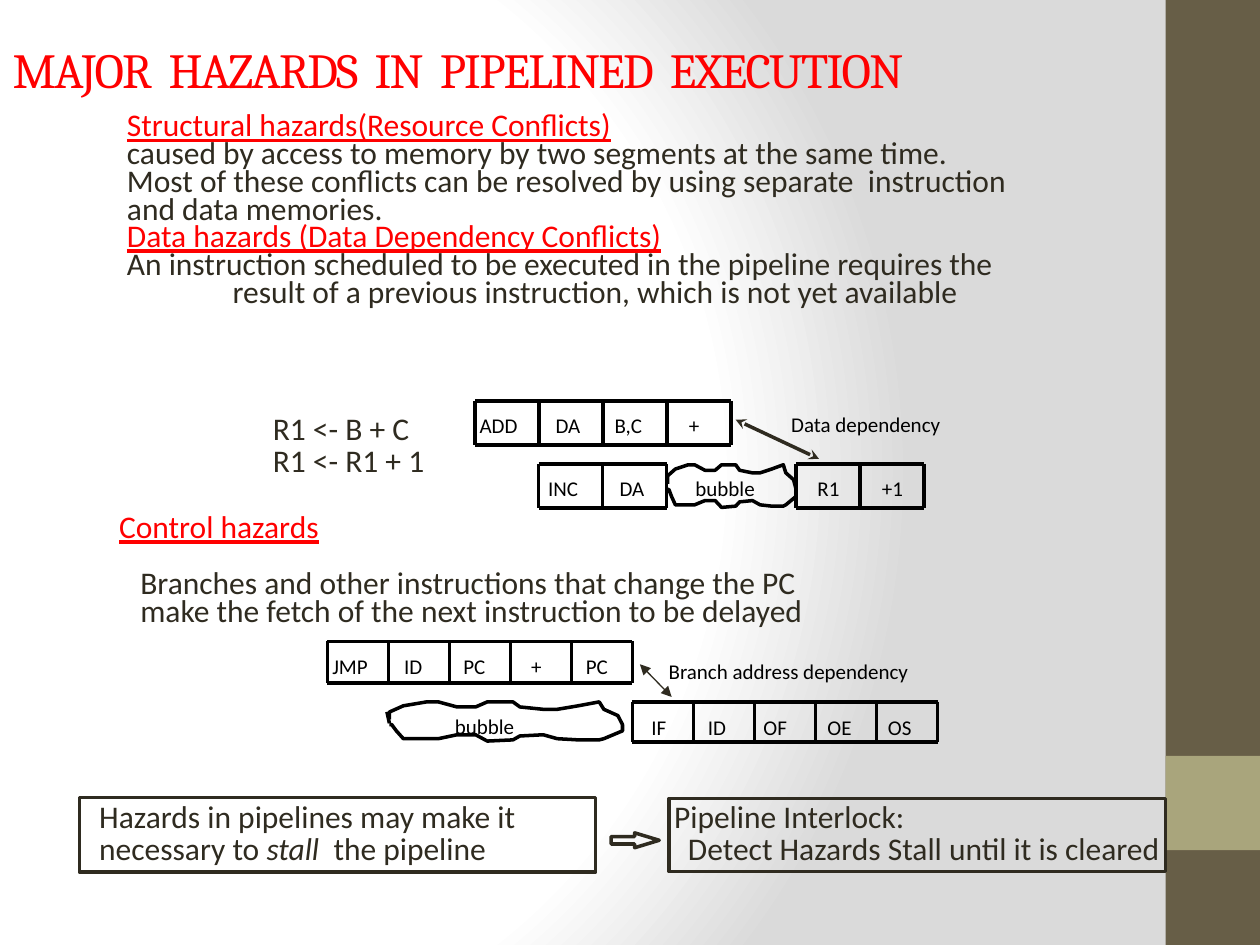
from pptx import Presentation
from pptx.dml.color import RGBColor
from pptx.enum.shapes import MSO_CONNECTOR, MSO_SHAPE
from pptx.enum.text import MSO_ANCHOR, MSO_AUTO_SIZE, PP_ALIGN
from pptx.oxml import parse_xml
from pptx.oxml.ns import nsdecls, qn
from pptx.oxml.xmlchemy import OxmlElement
from pptx.util import Cm, Pt

LEFT = PP_ALIGN.LEFT
MIDDLE = MSO_ANCHOR.MIDDLE
NO_AUTOFIT = MSO_AUTO_SIZE.NONE
STRAIGHT = MSO_CONNECTOR.STRAIGHT
RECTANGLE = MSO_SHAPE.RECTANGLE
RIGHT_ARROW = MSO_SHAPE.RIGHT_ARROW

RED, INK, BLACK = "FF0000", "2F2B20", "000000"
BODY = {"size": Pt(18), "name": "Calibri"}
LABEL = {"size": Pt(12), "name": "Calibri"}
HEADING = {"underline": True}
TIGHT = {"line_spacing": 0.4, "space_before": Pt(7.2)}
CODE = {"line_spacing": 0.5, "space_before": Pt(7.2)}
BOXED = {"line_spacing": 0.85}
INDENT = 1.57

LABEL_WIDTHS = {"JMP": 1.37, "ADD": 1.42, "INC": 1.24, "B,C": 1.24, "DA": 1.12,
                "OE": 1.12, "OS": 1.12, "PC": 1.09, "OF": 1.09, "R1": 1.04,
                "+1": 0.99, "ID": 0.94, "IF": 0.89, "+": 0.76}

# Bubble outline in percent of its width and height
BUBBLE = [(0, 45), (0, 26), (6, 10), (16, 0), (21, 0), (29, 13), (37, 13), (42, 0),
          (53, 0), (56, 13), (66, 19), (72, 19), (81, 10), (90, 0), (92, 19),
          (98, 35), (100, 58), (100, 74), (92, 94), (90, 97), (81, 97), (72, 94),
          (66, 84), (56, 87), (53, 97), (42, 100), (37, 84), (29, 84), (21, 94),
          (16, 94), (6, 94), (3, 74), (1, 58), (0, 58)]


def color(value):
    return RGBColor.from_string(value)


def apply(target, values):
    for name, value in values.items():
        setattr(target, name, value)


class SlideBuilder:
    """Holds the line style and the current slide."""

    def __init__(self, slide, line_width=2):
        self.slide = slide
        self.shapes = slide.shapes
        self.line_width = line_width

    def background(self, stops, focus):
        """Fill with a circular gradient of (percent, colour) stops."""
        stop_list = "".join(
            f'<a:gs pos="{position * 1000}"><a:srgbClr val="{value}"/></a:gs>'
            for position, value in stops)
        sides = " ".join(f'{side}="{value * 1000}"' for side, value in zip("ltrb", focus))
        gradient = parse_xml(
            f'<a:gradFill {nsdecls("a")} rotWithShape="1"><a:gsLst>{stop_list}</a:gsLst>'
            f'<a:path path="circle"><a:fillToRect {sides}/></a:path></a:gradFill>')
        fill = self.slide.background.fill
        fill.solid()
        fill.fore_color.rgb = color("FFFFFF")
        properties = self.slide.element.find(".//" + qn("p:bgPr"))
        properties.replace(properties.find(qn("a:solidFill")), gradient)

    def run(self, paragraph, text, font_color, *formats):
        run = paragraph.add_run()
        run.text = text
        run.font.color.rgb = color(font_color)
        for values in formats:
            apply(run.font, values)
        return run

    def title(self, text, left, top, width, height):
        title = self.shapes.title
        apply(title, {"left": Cm(left), "top": Cm(top),
                      "width": Cm(width), "height": Cm(height)})
        frame = title.text_frame
        apply(frame, {"auto_size": NO_AUTOFIT, "vertical_anchor": MIDDLE})
        paragraph = frame.paragraphs[0]
        paragraph.alignment = LEFT
        run = self.run(paragraph, text, RED, {"size": Pt(28), "name": "Cambria"})
        run.font._element.set("spc", "-100")

    def text(self, left, top, width, height, paragraphs, layout, wrap=True):
        """Each paragraph is (indent in cm, runs, extra format)."""
        box = self.shapes.add_textbox(Cm(left), Cm(top), Cm(width), Cm(height))
        frame = box.text_frame
        frame.word_wrap = wrap
        for index, (indent, runs, extra) in enumerate(paragraphs):
            paragraph = frame.add_paragraph() if index else frame.paragraphs[0]
            apply(paragraph, {**layout, **extra})
            if indent:
                paragraph._p.get_or_add_pPr().set("marL", str(Cm(indent)))
            for run in runs:
                self.run(paragraph, *run)

    def label(self, text, left, top, width):
        self.text(left, top, width, 0.71, [(0, [(text, BLACK, LABEL)], {})], {}, False)

    def outline(self, shape, line_color):
        shape.shadow.inherit = False
        shape.fill.background()
        shape.line.color.rgb = color(line_color)
        shape.line.width = Pt(self.line_width)

    def block(self, kind, left, top, width, height, fill=None, adjustments=()):
        """A filled shape, or an outlined one when no fill is given."""
        shape = self.shapes.add_shape(kind, Cm(left), Cm(top), Cm(width), Cm(height))
        for index, value in enumerate(adjustments):
            shape.adjustments[index] = value
        self.outline(shape, INK)
        if fill:
            shape.fill.solid()
            shape.fill.fore_color.rgb = color(fill)
            shape.line.fill.background()

    def line(self, x1, y1, x2, y2, line_color=BLACK, width=None, arrow=None):
        line = self.shapes.add_connector(STRAIGHT, Cm(x1), Cm(y1), Cm(x2), Cm(y2))
        line.line.color.rgb = color(line_color)
        line.line.width = Pt(width or self.line_width)
        properties = line._element.spPr
        if arrow:
            for end in ("a:headEnd", "a:tailEnd"):
                element = OxmlElement(end)
                element.set("type", arrow)
                properties.find(qn("a:ln")).append(element)
        properties.append(OxmlElement("a:effectLst"))

    def stages(self, left, top, cell_width, height, labels):
        """A row of pipeline stages; labels are (text, left) pairs."""
        right = left + cell_width * len(labels)
        for y in (top, top + height):
            self.line(left, y, right, y)
        for index in range(len(labels) + 1):
            x = left + cell_width * index
            self.line(x, top, x, top + height)
        for text, label_left in labels:
            self.label(text, label_left, top + 0.12, LABEL_WIDTHS[text])

    def bubble(self, left, top, width, height, label_left, label_top):
        start, *points = BUBBLE
        builder = self.shapes.build_freeform(
            *start, scale=(Cm(width) / 100, Cm(height) / 100))
        builder.add_line_segments(points, close=False)
        self.outline(builder.convert_to_shape(Cm(left), Cm(top)), BLACK)
        self.label("bubble", label_left, label_top, 1.9)


def main():
    presentation = Presentation()
    presentation.slide_width, presentation.slide_height = Cm(25.4), Cm(19.05)
    builder = SlideBuilder(presentation.slides.add_slide(presentation.slide_layouts[5]))
    builder.background([(0, "FFFFFF"), (75, "FFFFFF"), (100, "DADADA")], (20, 50, 100, 50))
    builder.block(RECTANGLE, 23.5, 0, 1.9, 19.05, "675E47")
    builder.block(RECTANGLE, 23.5, 15.24, 1.9, 1.9, "A9A57C")
    builder.title("MAJOR  HAZARDS  IN  PIPELINED  EXECUTION", 0, 0.61, 25.4, 1.57)

    def heading(text):
        return INDENT, [(text, RED, BODY, HEADING)], {}

    def body(text, indent=INDENT, **extra):
        return indent, [(text, INK, BODY)], extra

    builder.text(0.74, 2.39, 20.22, 4.34, [
        heading("Structural hazards(Resource Conflicts)"),
        body("caused by access to memory by two segments at the same time."),
        body("Most of these conflicts can be resolved by using separate  instruction"),
        body("and data memories."),
        heading("Data hazards (Data Dependency Conflicts)"),
        body("An instruction scheduled to be executed in the pipeline requires the"),
        body("result of a previous instruction, which is not yet available", 3.7),
    ], TIGHT)

    builder.text(3.68, 8.46, 5.74, 1.32,
                 [body("R1 <- B + C"), body("R1 <- R1 + 1")], CODE)
    builder.stages(9.58, 8.08, 1.29, 0.89,
                   [("ADD", 9.42), ("DA", 10.95), ("B,C", 12.14), ("+", 13.64)])
    builder.stages(10.86, 9.35, 1.29, 0.89, [("INC", 10.8), ("DA", 12.24)])
    builder.bubble(13.46, 9.37, 2.59, 0.86, 13.77, 9.47)
    builder.stages(16.05, 9.35, 1.29, 0.89, [("R1", 16.23), ("+1", 17.53)])
    builder.line(14.83, 8.46, 16.51, 9.25, INK, arrow="stealth")
    builder.label("Data dependency", 15.7, 8.18, 4.01)

    builder.text(0.58, 10.49, 22.28, 2.51, [
        heading("Control hazards"),
        body("Branches and other instructions that change the PC", 2,
             space_before=Pt(23.2)),
        body("make the fetch of the next instruction to be delayed", 2),
    ], TIGHT)
    builder.stages(6.6, 12.93, 1.23, 0.84, [("JMP", 6.45), ("ID", 7.9), ("PC", 9.09),
                                            ("+", 10.46), ("PC", 11.56)])
    builder.bubble(7.85, 14.15, 4.7, 0.79, 8.92, 14.25)
    builder.line(7.85, 14.58, 7.8, 14.35)
    builder.stages(12.75, 14.15, 1.23, 0.81, [("IF", 12.88), ("ID", 14.02), ("OF", 15.14),
                                              ("OE", 16.43), ("OS", 17.65)])
    builder.line(12.9, 13.39, 13.54, 14.05, INK, 0.75, "triangle")
    builder.label("Branch address dependency", 13.23, 13.16, 6.3)

    builder.block(RECTANGLE, 1.6, 16.08, 10.41, 1.5)
    builder.text(1.75, 16.05, 10.87, 1.55, [
        body("Hazards in pipelines may make it", 0),
        (0, [("necessary to ", INK, BODY), ("stall  ", INK, BODY, {"italic": True}),
             ("the pipeline", INK, BODY)], {}),
    ], BOXED)
    builder.block(RIGHT_ARROW, 12.32, 16.79, 0.97, 0.3, adjustments=(0.5, 1.65))
    builder.block(RECTANGLE, 13.49, 16.1, 10.01, 1.47)
    builder.text(13.34, 16.05, 11.38, 2.21, [
        body("Pipeline Interlock:", 0),
        body("Detect Hazards Stall until it is cleared", 0.28),
    ], BOXED)
    presentation.save("out.pptx")


if __name__ == "__main__":
    main()
